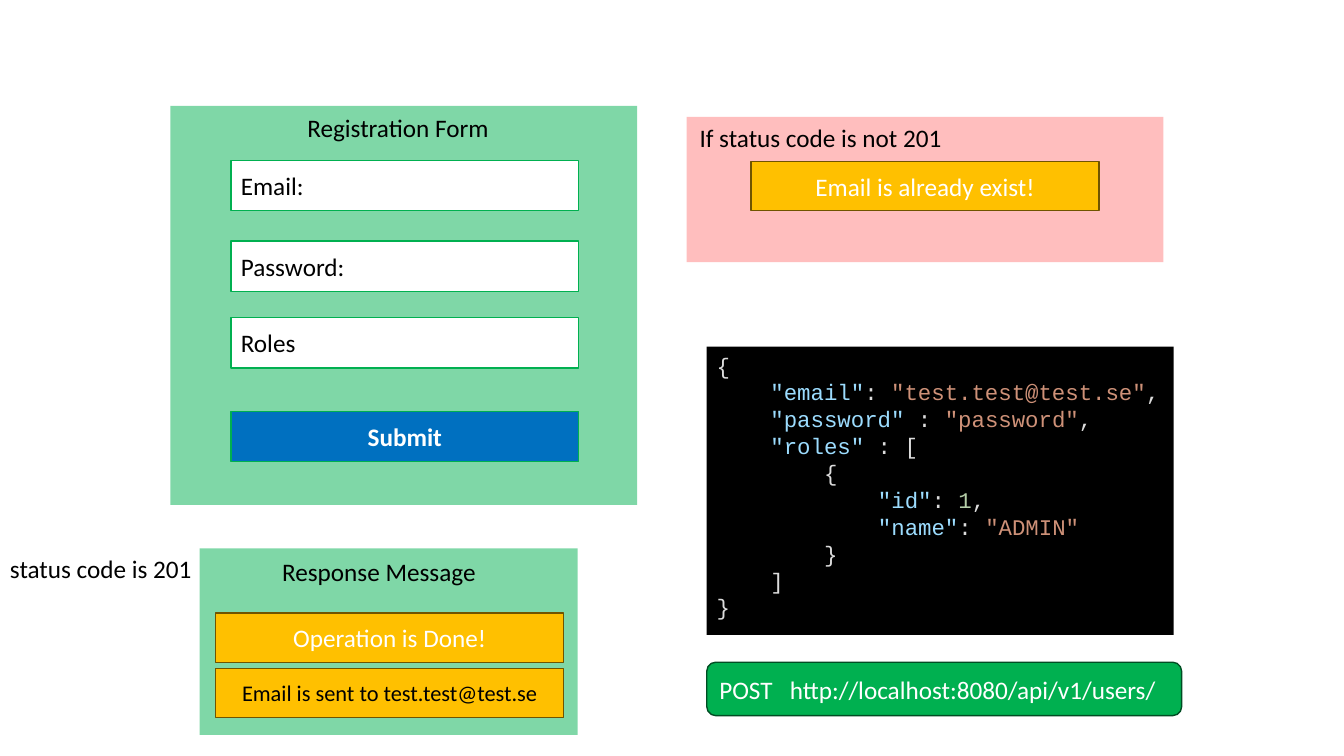
from dataclasses import dataclass

from lxml.etree import SubElement
from pptx import Presentation
from pptx.dml.color import RGBColor
from pptx.enum.shapes import MSO_SHAPE
from pptx.enum.text import MSO_ANCHOR, MSO_AUTO_SIZE, PP_ALIGN
from pptx.oxml.ns import qn
from pptx.util import Inches, Pt

UNIT = 0.1  # inches in one grid column or row


@dataclass(frozen=True)
class Theme:
    """Colours, fonts and type sizes."""
    green: str = "00B050"
    rose: str = "FF7F7F"
    blue: str = "0070C0"
    gold: str = "FFC000"
    bronze: str = "705400"
    pine: str = "004D23"
    white: str = "FFFFFF"
    black: str = "000000"
    mark: str = "DCDCDC"
    key: str = "9CDCFE"
    value: str = "CE9178"
    number: str = "B5CEA8"
    font: str = "Calibri"
    mono: str = "Courier New"
    body: int = 18
    small: int = 16


T = Theme()


@dataclass(frozen=True)
class Box:
    """An area in grid columns and rows."""
    x: float
    y: float
    w: float
    h: float

    def inner(self, x, y, w, h):
        """Return an area placed from this one's corner."""
        return Box(self.x + x, self.y + y, w, h)

    def place(self):
        """Return left, top, width and height as lengths."""
        return [Inches(n * UNIT) for n in (self.x, self.y, self.w, self.h)]


def write(para, text, color=T.black, size=T.body, font=T.font, bold=False,
          align=PP_ALIGN.LEFT):
    """Add formatted text to a paragraph."""
    para.alignment = align
    run = para.add_run()
    run.text = text
    run.font.name, run.font.size, run.font.bold = font, Pt(size), bold
    run.font.color.rgb = RGBColor.from_string(color)


def block(slide, box, fill, line=None, alpha=None, kind=MSO_SHAPE.RECTANGLE):
    """Draw a filled shape, with an outline or see-through if asked."""
    shape = slide.shapes.add_shape(kind, *box.place())
    shape.shadow.inherit = False
    shape.fill.solid()
    shape.fill.fore_color.rgb = RGBColor.from_string(fill)
    if alpha:
        tint = shape.element.spPr.find(".//" + qn("a:srgbClr"))
        SubElement(tint, qn("a:alpha"), val=str(alpha * 1000))
    if line:
        shape.line.color.rgb = RGBColor.from_string(line)
        shape.line.width = Pt(1)
    else:
        shape.line.fill.background()
    frame = shape.text_frame
    frame.word_wrap = True
    frame.vertical_anchor = MSO_ANCHOR.MIDDLE
    return shape


def label(slide, box, text, wrap=True):
    """Place a plain text box."""
    frame = slide.shapes.add_textbox(*box.place()).text_frame
    frame.word_wrap = wrap
    frame.auto_size = MSO_AUTO_SIZE.SHAPE_TO_FIT_TEXT
    write(frame.paragraphs[0], text)


def bar(slide, box, text, fill, line, **style):
    """Draw an outlined bar with one line of text."""
    shape = block(slide, box, fill, line)
    write(shape.text_frame.paragraphs[0], text, **style)


def notice(slide, box, text, **style):
    """Draw a gold message bar."""
    bar(slide, box, text, T.gold, T.bronze, align=PP_ALIGN.CENTER, **style)


def form(slide, box):
    """Draw the registration form."""
    block(slide, box, T.green, alpha=50)
    for row, text in ((5.4, "Email:"), (13.4, "Password:"), (21, "Roles")):
        bar(slide, box.inner(6, row, 34.5, 5), text, T.white, T.green)
    bar(slide, box.inner(6, 30.3, 34.5, 5), "Submit", T.blue, T.green,
        color=T.white, bold=True, align=PP_ALIGN.CENTER)
    label(slide, box.inner(12.6, 0.2, 27.8, 4), "Registration Form")


def reply(slide, box):
    """Draw the response to a successful request."""
    block(slide, box, T.green, alpha=50)
    notice(slide, box.inner(1.6, 6.4, 34.5, 4.9), "Operation is Done!",
           color=T.white)
    notice(slide, box.inner(1.6, 11.9, 34.5, 4.9),
           "Email is sent to test.test@test.se", size=T.small)
    label(slide, box.inner(-19.8, 0, 20.2, 4), "status code is 201",
          wrap=False)
    label(slide, box.inner(7.2, 0.3, 26.3, 4), "Response Message")


def error(slide, box):
    """Draw the response to a failed request."""
    block(slide, box, T.rose, alpha=50)
    notice(slide, box.inner(6.4, 4.4, 34.5, 4.9), "Email is already exist!",
           color=T.white)
    label(slide, box.inner(0.3, 0, 26.3, 4), "If status code is not 201",
          wrap=False)


def code(slide, box):
    """Draw the request body, indented by nesting level."""
    lines = (
        (0, ("{", T.mark)),
        (1, ('"email"', T.key), (": ", T.mark),
         ('"test.test@test.se"', T.value), (",", T.mark)),
        (1, ('"password" ', T.key), (": ", T.mark),
         ('"password"', T.value), (",", T.mark)),
        (1, ('"roles" ', T.key), (": [", T.mark)),
        (2, ("{", T.mark)),
        (3, ('"id"', T.key), (": ", T.mark), ("1", T.number), (",", T.mark)),
        (3, ('"name"', T.key), (": ", T.mark), ('"ADMIN"', T.value)),
        (2, ("}", T.mark)),
        (1, ("]", T.mark)),
        (0, ("}", T.mark)),
    )
    frame = block(slide, box, T.black).text_frame
    frame.vertical_anchor = MSO_ANCHOR.TOP
    step = Pt(4 * 0.6 * T.small)  # four monospaced characters
    for n, (level, *words) in enumerate(lines):
        para = frame.add_paragraph() if n else frame.paragraphs[0]
        para.line_spacing = Pt(1.2 * T.small)
        para._p.get_or_add_pPr().set("marL", str(level * step))
        for text, color in words:
            write(para, text, color=color, size=T.small, font=T.mono)


def route(slide, box):
    """Draw the request method and address, set apart by a tab stop."""
    shape = block(slide, box, T.green, T.pine, kind=MSO_SHAPE.ROUNDED_RECTANGLE)
    para = shape.text_frame.paragraphs[0]
    tabs = SubElement(para._p.get_or_add_pPr(), qn("a:tabLst"))
    SubElement(tabs, qn("a:tab"), pos=str(Inches(7 * UNIT)), algn="l")
    write(para, "POST\thttp://localhost:8080/api/v1/users/", color=T.white)


def main():
    """Build and save the slide."""
    deck = Presentation()
    deck.slide_width, deck.slide_height = Inches(13.33), Inches(7.5)
    slide = deck.slides.add_slide(deck.slide_layouts[6])
    form(slide, Box(16.9, 10.5, 46.3, 39.6))
    code(slide, Box(70.1, 34.4, 46.3, 28.6))
    route(slide, Box(70.1, 65.7, 47.1, 5.3))
    reply(slide, Box(19.8, 54.4, 37.5, 18.5))
    error(slide, Box(68.1, 11.6, 47.3, 14.4))
    deck.save("out.pptx")


main()
